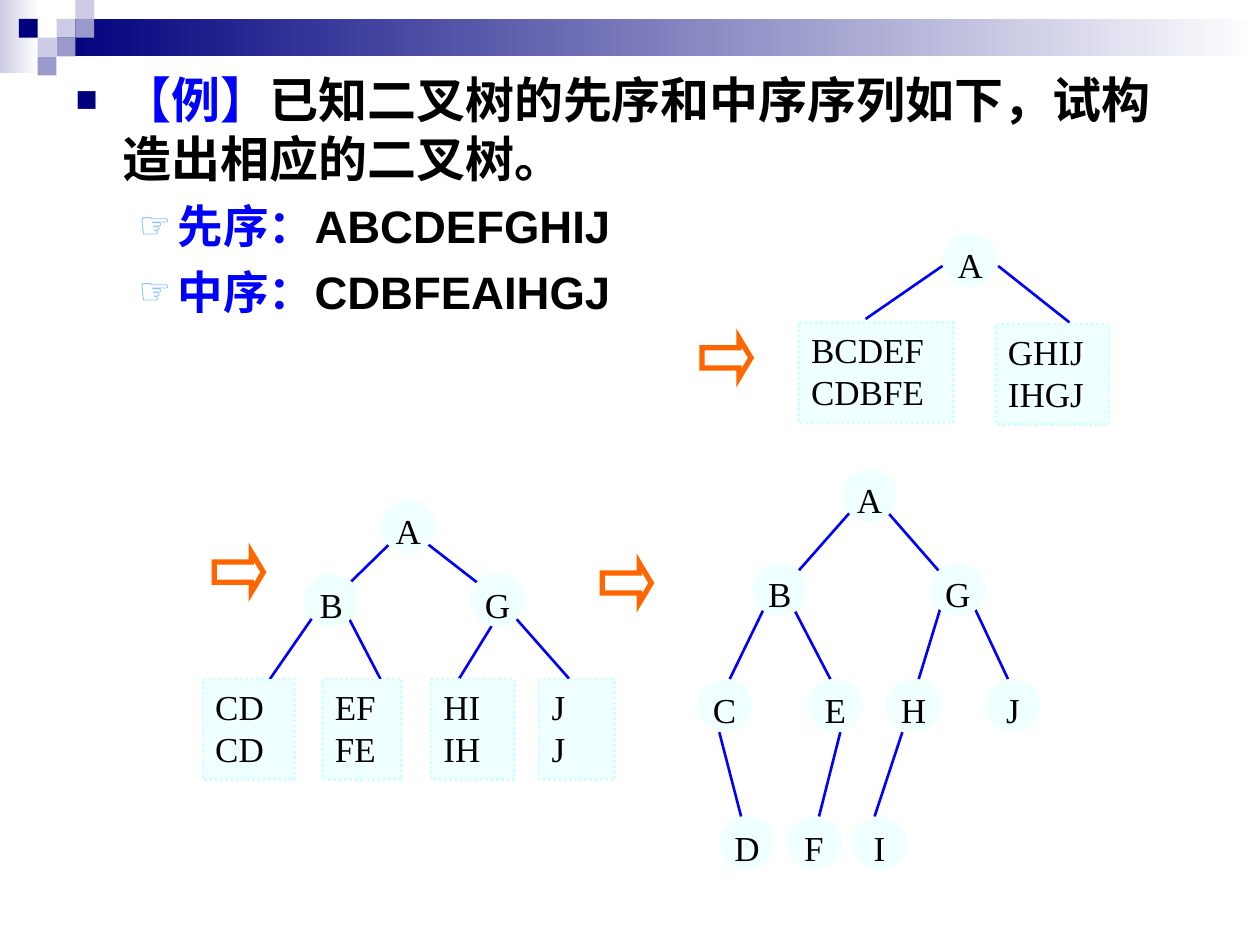
from dataclasses import dataclass

from lxml import etree
from pptx import Presentation
from pptx import util as u
from pptx.dml.color import RGBColor
from pptx.enum import dml, shapes, text
from pptx.oxml.ns import qn


@dataclass(frozen=True)
class Theme:
    navy: str = "00007D"
    lilac: str = "CCCCE6"
    violet: str = "9999CC"
    white: str = "FFFFFF"
    black: str = "000000"
    blue: str = "0000FF"
    sky: str = "67AFFF"
    orange: str = "FF6600"
    pale: str = "F0FFFF"
    border: str = "CCFFFF"
    sans: str = "Arial"
    serif: str = "Times New Roman"
    question_size: int = 28
    sequence_size: int = 26
    tree_size: int = 20
    thin: float = 1.5
    thick: float = 3


THEME = Theme()

# Content: level, blue lead, black remainder
BODY = [
    (0, "【例】", "已知二叉树的先序和中序序列如下，试构造出相应的二叉树。"),
    (1, "先序：", "ABCDEFGHIJ"),
    (1, "中序：", "CDBFEAIHGJ"),
]
# Per level: size, space before, left margin, indent, bullet, colour, percent
LEVELS = [
    (THEME.question_size, 7, 0.95, -0.95, "■", THEME.navy, 75),
    (THEME.sequence_size, 6.5, 2.06, -0.79, "☞", THEME.sky, 80),
]

# All positions below are in centimetres
BANDS = [(0, 0, 0.79, 1.47, THEME.lilac), (1.14, 0.38, 24.26, 0.76, THEME.navy)]
TILE = 0.38
TILES = [  # column, row, colour
    (3, 1, THEME.lilac), (4, 0, THEME.lilac), (4, 1, THEME.violet),
    (2, 2, THEME.lilac), (1, 1, THEME.navy), (3, 2, THEME.violet),
    (2, 3, THEME.violet),
]
ARROWS = [(14.15, 6.81), (4.32, 11.13), (12.14, 11.35)]
ARROW_SIZE = (0.99, 0.81)
NODE_SIZE = (1.12, 1.07)
BOX_HEIGHT = 2.03

# edges: x1, y1, x2, y2; boxes: x, y, width, preorder, inorder; nodes: row -> label -> x
TREES = [
    {
        "edges": [(19, 5.36, 17.45, 6.43), (20.12, 5.36, 21.56, 6.5)],
        "boxes": [(16.1, 6.5, 3.12, "BCDEF", "CDBFE"),
                  (20.07, 6.53, 2.29, "GHIJ", "IHGJ")],
        "nodes": {4.72: {"A": 19}},
    },
    {
        "edges": [(7.9, 10.92, 7.01, 11.79), (8.56, 10.92, 9.68, 11.79),
                  (6.32, 12.42, 5.44, 13.69), (7.01, 12.42, 7.67, 13.69),
                  (9.91, 12.62, 9.25, 13.69), (10.36, 12.42, 11.48, 13.69)],
        "boxes": [(4.09, 13.69, 1.85, "CD", "CD"), (6.5, 13.69, 1.6, "EF", "FE"),
                  (8.69, 13.69, 1.68, "HI", "IH"), (10.87, 13.69, 1.52, "J", "J")],
        "nodes": {10.08: {"A": 7.67}, 11.56: {"B": 6.12, "G": 9.47}},
    },
    {
        "edges": [(17.17, 10.29, 16.05, 11.56), (17.86, 10.29, 18.97, 11.56),
                  (15.39, 12.29, 14.71, 13.69), (16, 12.27, 16.74, 13.69),
                  (18.97, 12.22, 18.52, 13.69), (19.63, 12.22, 20.32, 13.69),
                  (14.5, 14.76, 14.94, 16.46), (16.94, 14.76, 16.51, 16.46),
                  (18.19, 14.76, 17.63, 16.46)],
        "boxes": [],
        "nodes": {9.45: {"A": 16.97},
                  11.35: {"B": 15.16, "G": 18.75},
                  13.69: {"C": 14.05, "E": 16.28, "H": 17.86, "J": 19.86},
                  16.46: {"D": 14.5, "F": 15.85, "I": 17.17}},
    },
]


def rgb(colour):
    return RGBColor.from_string(colour)


def add_shape(parent, kind, left, top, width, height, fill=None):
    shape = parent.shapes.add_shape(kind, *map(u.Cm, (left, top, width, height)))
    shape.shadow.inherit = False
    shape.line.fill.background()
    if fill:
        shape.fill.solid()
        shape.fill.fore_color.rgb = rgb(fill)
    else:
        shape.fill.background()
    return shape


def style_line(line, colour, width):
    line.color.rgb = rgb(colour)
    line.width = u.Pt(width)


def style_font(font, name, size, colour, bold=False):
    font.name, font.size, font.bold = name, u.Pt(size), bold
    font.color.rgb = rgb(colour)


def add_bullet(para, left, indent, symbol, colour, percent):
    props = para._p.get_or_add_pPr()
    props.set("marL", str(u.Cm(left)))
    props.set("indent", str(u.Cm(indent)))
    tint = etree.SubElement(props, qn("a:buClr"))
    etree.SubElement(tint, qn("a:srgbClr"), val=colour)
    etree.SubElement(props, qn("a:buSzPct"), val=str(percent * 1000))
    etree.SubElement(props, qn("a:buFont"), typeface=THEME.sans)
    etree.SubElement(props, qn("a:buChar"), char=symbol)


def fill_text(shape, content, align):
    frame = shape.text_frame
    frame.text = content
    for para in frame.paragraphs:
        para.alignment = align
        for span in para.runs:
            style_font(span.font, THEME.serif, THEME.tree_size, THEME.black)
    return frame


def add_banner(page):
    banner = page.shapes.add_group_shape()
    for *place, colour in BANDS:
        band = add_shape(banner, shapes.MSO_SHAPE.RECTANGLE, *place)
        band.fill.gradient()
        band.fill.gradient_angle = 0
        for stop, tint in zip(band.fill.gradient_stops, (colour, THEME.white)):
            stop.color.rgb = rgb(tint)
    for column, row, colour in TILES:
        add_shape(banner, shapes.MSO_SHAPE.RECTANGLE, column * TILE, row * TILE,
                  TILE, TILE, colour)


def fill_body(body):
    body.left, body.top, body.width, body.height = map(u.Cm, (1.27, 1.27, 22.86, 17.78))
    frame = body.text_frame
    frame.auto_size = text.MSO_AUTO_SIZE.NONE
    for index, (level, lead, remainder) in enumerate(BODY):
        para = frame.add_paragraph() if index else frame.paragraphs[0]
        size, before, *bullet = LEVELS[level]
        para.level = level
        add_bullet(para, *bullet)
        para.space_before = u.Pt(before if index else 0)
        for words, colour in ((lead, THEME.blue), (remainder, THEME.black)):
            span = para.add_run()
            span.text = words
            style_font(span.font, THEME.sans, size, colour, bold=True)


def add_arrow(page, left, top):
    arrow = add_shape(page, shapes.MSO_SHAPE.RIGHT_ARROW, left, top, *ARROW_SIZE)
    arrow.adjustments[1] = 0.3
    style_line(arrow.line, THEME.orange, THEME.thick)
    etree.SubElement(arrow.line._get_or_add_ln(), qn("a:miter"), lim="800000")


def add_tree(page, edges, boxes, nodes):
    tree = page.shapes.add_group_shape()
    for ends in edges:
        edge = tree.shapes.add_connector(shapes.MSO_CONNECTOR.STRAIGHT, *map(u.Cm, ends))
        style_line(edge.line, THEME.blue, THEME.thin)
        etree.SubElement(edge._element.spPr, qn("a:effectLst"))
    for left, top, width, preorder, inorder in boxes:
        box = add_shape(tree, shapes.MSO_SHAPE.RECTANGLE, left, top, width,
                        BOX_HEIGHT, THEME.pale)
        style_line(box.line, THEME.border, THEME.thin)
        box.line.dash_style = dml.MSO_LINE.ROUND_DOT
        frame = fill_text(box, f"{preorder}\n{inorder}", text.PP_ALIGN.JUSTIFY)
        frame.vertical_anchor = text.MSO_ANCHOR.TOP
    for top, row in nodes.items():
        for label, left in row.items():
            node = add_shape(tree, shapes.MSO_SHAPE.OVAL, left, top, *NODE_SIZE, THEME.pale)
            frame = fill_text(node, label, text.PP_ALIGN.CENTER)
            frame.word_wrap = False
            frame.vertical_anchor = text.MSO_ANCHOR.MIDDLE
            frame.paragraphs[0].line_spacing = 1.2


def main():
    deck = Presentation()
    deck.slide_width, deck.slide_height = u.Cm(25.4), u.Cm(19.05)
    page = deck.slides.add_slide(deck.slide_layouts[1])
    title = page.shapes.title._element
    title.getparent().remove(title)  # this page has no title
    fill_body(page.placeholders[1])
    add_banner(page)
    for place in ARROWS:
        add_arrow(page, *place)
    for tree in TREES:
        add_tree(page, **tree)
    deck.save("out.pptx")


if __name__ == "__main__":
    main()
